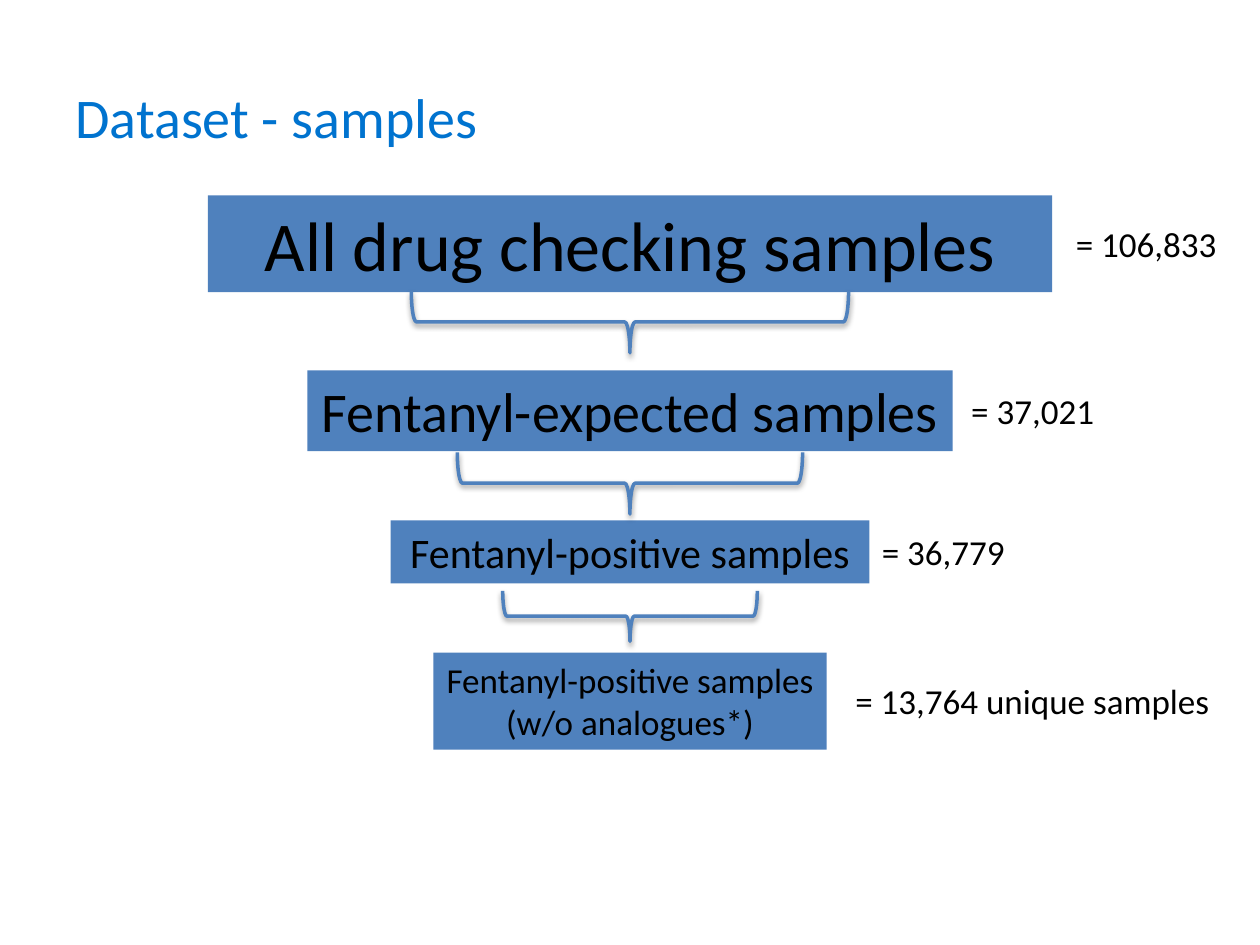
import lxml.etree
import pptx
import pptx.dml.color
import pptx.enum.shapes
import pptx.enum.text
import pptx.oxml.ns
import pptx.util

Inches = pptx.util.Inches
Shapes = pptx.enum.shapes.MSO_SHAPE
Align = pptx.enum.text.PP_ALIGN
Anchor = pptx.enum.text.MSO_ANCHOR

THEME = {
    "font": "Calibri", "title": "0073CF", "text": "000000", "fill": "4F81BD",
    "title_size": 32, "count_size": 20, "brace_line": 2,
}
SLIDE_WIDTH, SLIDE_HEIGHT = 10, 7.5
CENTRE = SLIDE_WIDTH / 2
COUNT_WIDTH, COUNT_HEIGHT = 3.12, 0.44

TITLE = "Dataset - samples"
# Each step of the funnel is centred; count_gap runs from the bar to its count.
STEPS = [
    {"label": "All drug checking samples", "size": 40, "top": 1.55,
     "width": 6.7, "height": 0.77, "count": "= 106,833", "count_gap": 0.09},
    {"label": "Fentanyl-expected samples", "size": 32, "top": 2.94,
     "width": 5.12, "height": 0.64, "count": "= 37,021", "count_gap": 0.05},
    {"label": "Fentanyl-positive samples", "size": 24, "top": 4.13,
     "width": 3.8, "height": 0.5, "count": "= 36,779", "count_gap": 0},
    {"label": "Fentanyl-positive samples (w/o analogues*)", "size": 20, "top": 5.18,
     "width": 3.12, "height": 0.77, "count": "= 13,764 unique samples", "count_gap": 0.13},
]
# Top, depth and span of the brace below each of the first three steps.
BRACES = [(2.31, 0.49, 3.47), (3.59, 0.49, 2.74), (4.69, 0.4, 2.02)]


def colour(name):
    return pptx.dml.color.RGBColor.from_string(THEME[name])


def write(shape, text, size, ink="text", align=Align.LEFT, anchor=Anchor.TOP):
    frame = shape.text_frame
    frame.word_wrap = True
    frame.vertical_anchor = anchor
    para = frame.paragraphs[0]
    para.alignment = align
    span = para.add_run()
    span.text = text
    span.font.name = THEME["font"]
    span.font.size = pptx.util.Pt(size)
    span.font.color.rgb = colour(ink)


def add_text(page, left, top, width, height, text, size, **style):
    box = page.shapes.add_textbox(*map(Inches, (left, top, width, height)))
    write(box, text, size, **style)


def add_step(page, step):
    left = CENTRE - step["width"] / 2
    bar = page.shapes.add_shape(
        Shapes.RECTANGLE, *map(Inches, (left, step["top"], step["width"], step["height"])))
    bar.shadow.inherit = False
    bar.fill.solid()
    bar.fill.fore_color.rgb = colour("fill")
    bar.line.fill.background()
    write(bar, step["label"], step["size"], align=Align.CENTER)

    count_left = left + step["width"] + step["count_gap"]
    count_top = step["top"] + (step["height"] - COUNT_HEIGHT) / 2
    add_text(page, count_left, count_top, min(COUNT_WIDTH, SLIDE_WIDTH - count_left),
             COUNT_HEIGHT, step["count"], THEME["count_size"])


def add_drop_shadow(shape):
    shape.shadow.inherit = False
    qn = pptx.oxml.ns.qn
    effects = shape.element.spPr.find(qn("a:effectLst"))
    shadow = lxml.etree.SubElement(
        effects, qn("a:outerShdw"), blurRad=str(pptx.util.Pt(3.1)),
        dist=str(pptx.util.Pt(1.6)), dir="5400000", rotWithShape="0")
    tint = lxml.etree.SubElement(shadow, qn("a:srgbClr"), val="000000")
    lxml.etree.SubElement(tint, qn("a:alpha"), val="38000")


def add_brace(page, top, depth, span):
    """Turn a left brace so that it points down; top, depth and span are as seen."""
    middle = top + depth / 2
    brace = page.shapes.add_shape(
        Shapes.LEFT_BRACE,
        *map(Inches, (CENTRE - depth / 2, middle - span / 2, depth, span)))
    brace.rotation = 270
    brace.fill.background()
    brace.line.color.rgb = colour("fill")
    brace.line.width = pptx.util.Pt(THEME["brace_line"])
    add_drop_shadow(brace)


def main():
    deck = pptx.Presentation()
    deck.slide_width, deck.slide_height = Inches(SLIDE_WIDTH), Inches(SLIDE_HEIGHT)
    page = deck.slides.add_slide(deck.slide_layouts[6])
    add_text(page, 0.5, 0.3, 9, 1.25, TITLE, THEME["title_size"],
             ink="title", anchor=Anchor.MIDDLE)
    for step in STEPS:
        add_step(page, step)
    for brace in BRACES:
        add_brace(page, *brace)
    deck.save("out.pptx")


if __name__ == "__main__":
    main()
